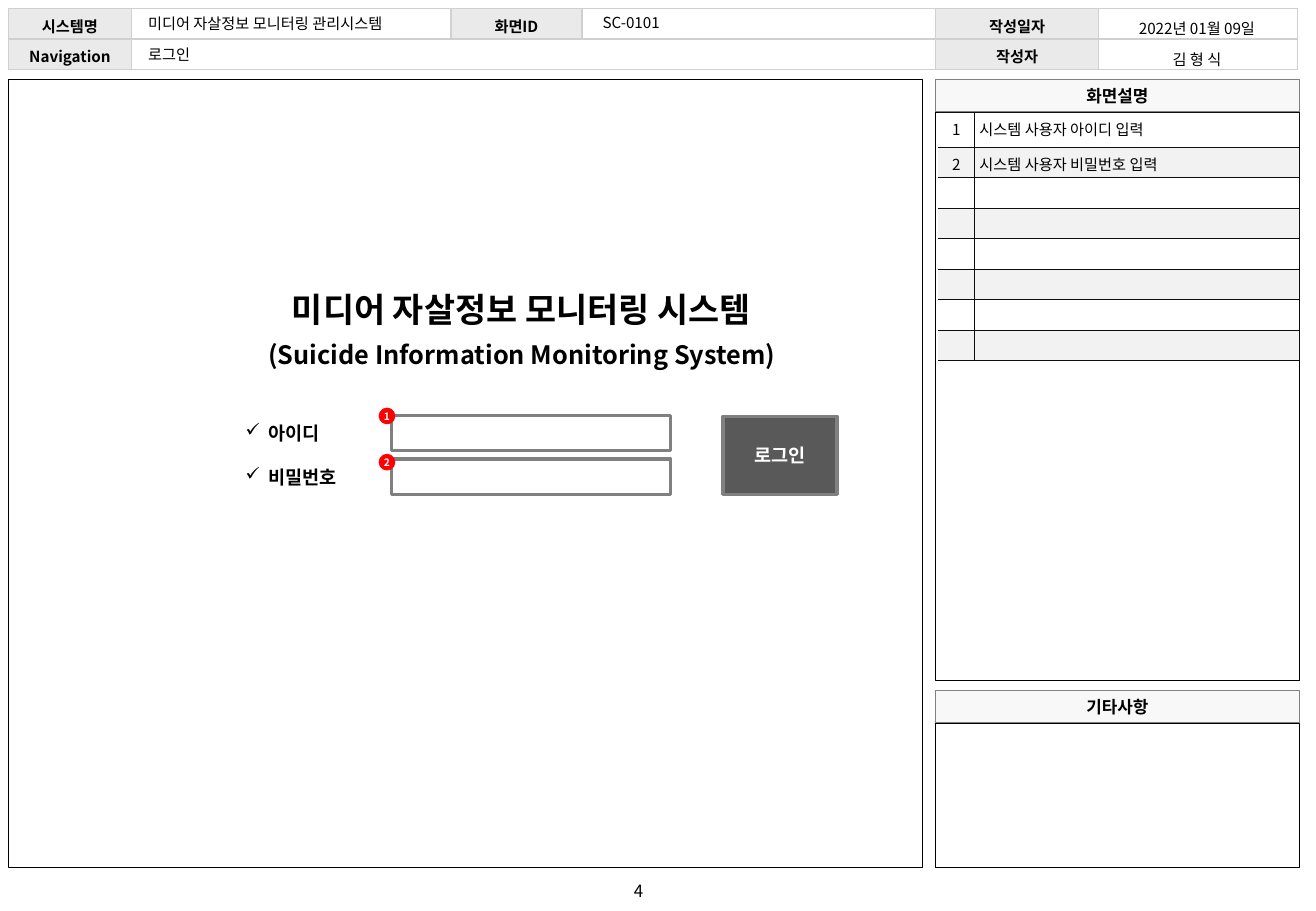
from lxml import etree
from pptx import Presentation
from pptx.dml.color import RGBColor
from pptx.enum.shapes import MSO_SHAPE as SHAPE
from pptx.enum.text import MSO_ANCHOR as ANCHOR, PP_ALIGN as ALIGN
from pptx.oxml.ns import qn
from pptx.util import Inches, Pt

FONT = "Noto Sans CJK KR"
NO_STYLE = "{2D5ABB26-0587-4C30-8999-92F81FD0307C}"
INK, GRAY, BAND = "000000", "808080", "F2F2F2"


def color(value):
    return RGBColor.from_string(value)


def write(tf, text, size=9, bold=False, ink=INK, align=ALIGN.LEFT):
    p = tf.paragraphs[0]
    p.alignment = align
    if not text:
        # An empty cell keeps its row low through the size of its end mark
        etree.SubElement(p._p, qn("a:endParaRPr"), sz=str(size * 100))
        return p
    r = p.add_run()
    r.text = text
    r.font.name, r.font.size, r.font.bold = FONT, Pt(size), bold
    r.font.color.rgb = color(ink)
    ea = etree.SubElement(r._r.get_or_add_rPr(), qn("a:ea"))
    ea.set("typeface", FONT)
    return p


def add_text(s, text, x, y, w, h, wrap=True, inset=0.1, **fmt):
    tf = s.shapes.add_textbox(*map(Inches, (x, y, w, h))).text_frame
    tf.word_wrap = wrap
    tf.vertical_anchor = ANCHOR.MIDDLE
    tf.margin_left = tf.margin_right = Inches(inset)
    return write(tf, text, **fmt)


def add_box(s, x, y, w, h, line=INK, weight=0.25, fill=None, text="",
            kind=SHAPE.RECTANGLE, inset=0.05, **fmt):
    sp = s.shapes.add_shape(kind, *map(Inches, (x, y, w, h)))
    sp.shadow.inherit = False
    sp.line.color.rgb, sp.line.width = color(line), Pt(weight)
    if fill:
        sp.fill.solid()
        sp.fill.fore_color.rgb = color(fill)
    else:
        sp.fill.background()
    if text:
        tf = sp.text_frame
        tf.margin_left = tf.margin_right = Inches(inset)
        tf.margin_top = tf.margin_bottom = Inches(inset)
        tf.vertical_anchor = ANCHOR.MIDDLE
        write(tf, text, align=ALIGN.CENTER, **fmt)
    return sp


def add_plain_table(s, x, y, cols, rows):
    frame = s.shapes.add_table(len(rows), len(cols), Inches(x), Inches(y),
                               Inches(sum(cols)), Inches(sum(rows)))
    table = frame.table
    table.first_row = table.horz_banding = False
    table._tbl.tblPr.find(qn("a:tableStyleId")).text = NO_STYLE
    for col, width in zip(table.columns, cols):
        col.width = Inches(width)
    for row, height in zip(table.rows, rows):
        row.height = Inches(height)
    return table


def fill_cell(cell, text="", fill=None, borders="", line=INK, weight=0.25,
              inset=0.1, anchor=ANCHOR.MIDDLE, **fmt):
    """Borders is a string of the sides to draw, out of L, R, T and B."""
    cell.margin_left = cell.margin_right = Inches(inset)
    cell.vertical_anchor = anchor
    write(cell.text_frame, text, **fmt)
    tcPr = cell._tc.get_or_add_tcPr()
    for side in "LRTB":
        if side in borders:
            ln = etree.SubElement(tcPr, qn(f"a:ln{side}"), w=str(Pt(weight)))
            solid = etree.SubElement(ln, qn("a:solidFill"))
            etree.SubElement(solid, qn("a:srgbClr"), val=line)
    if fill:
        cell.fill.solid()
        cell.fill.fore_color.rgb = color(fill)
    else:
        cell.fill.background()


def add_header(s, x, y):
    labels = [["시스템명", "", "화면ID", "", "작성일자", ""],
              ["Navigation", "", "", "", "작성자", ""]]
    rows = [0.25, 0.25]
    table = add_plain_table(s, x, y, [1.01, 2.63, 1.08, 2.91, 1.34, 1.64], rows)
    for i, row in enumerate(labels):
        for j, label in enumerate(row):
            fill_cell(table.cell(i, j), label, "EAEAEA" if label else None,
                      "LRTB", "D0D0D0", 1, bold=True, align=ALIGN.CENTER)
    table.cell(1, 1).merge(table.cell(1, 3))

    for text, dx, dy, w in [("미디어 자살정보 모니터링 관리시스템", 1.05, 0, 2.35),
                            ("SC-0101", 4.79, -0.01, 0.68),
                            ("로그인", 1.05, 0.25, 0.58)]:
        add_text(s, text, x + dx, y + dy, w, 0.25, wrap=False)

    author = add_plain_table(s, x + 8.96, y + 0.02, [1.64], rows)
    for i, text in enumerate(["2022년 01월 09일", "김 형 식"]):
        fill_cell(author.cell(i, 0), text, align=ALIGN.CENTER)


def add_panel(s, title, x, y, w, h):
    bar = 0.27
    add_box(s, x, y + bar, w, h - bar)
    add_box(s, x, y, w, bar, GRAY, fill="F8F8F8", text=title, size=10, bold=True)


def add_descriptions(s, x, y):
    notes = ["시스템 사용자 아이디 입력", "시스템 사용자 비밀번호 입력"]
    count = 8
    table = add_plain_table(s, x, y, [0.3, 2.67], [0.29] + [0.25] * (count - 1))
    for i in range(count):
        used = i < len(notes)
        style = dict(fill=BAND if i % 2 else None, borders="LRTB",
                     line="0D0D0D", anchor=ANCHOR.TOP)
        number = dict(style, borders="RTB", inset=0, align=ALIGN.CENTER)
        fill_cell(table.cell(i, 0), str(i + 1) if used else "", **number)
        fill_cell(table.cell(i, 1), notes[i] if used else "", inset=0.04, **style)


def add_login(s, x, y):
    title = dict(inset=0.04, bold=True, align=ALIGN.CENTER)
    add_text(s, "미디어 자살정보 모니터링 시스템", x, y, 5.22, 0.44, size=20, **title)
    add_text(s, "(Suicide Information Monitoring System)", x + 0.02, y + 0.42,
             5.19, 0.35, size=15, **title)
    for i, label in enumerate(["아이디", "비밀번호"]):
        top = y + 1.1 + 0.36 * i
        p = add_text(s, label, x + 0.3, top, 1.33, 0.29, inset=0.04, size=11, bold=True)
        pPr = p._p.get_or_add_pPr()
        pPr.set("marL", str(Inches(0.19)))
        pPr.set("indent", str(-Inches(0.19)))
        etree.SubElement(pPr, qn("a:buChar"), char="✓")
        add_box(s, x + 1.54, top, 2.3, 0.29, GRAY, 2)
        add_box(s, x + 1.44, y + 1.04 + 0.38 * i, 0.13, 0.13, "FF0000", 0.5, "FF0000",
                str(i + 1), SHAPE.OVAL, 0, size=6, bold=True, ink="FFFFFF")
    add_box(s, x + 4.27, y + 1.11, 0.94, 0.64, GRAY, 2, "595959", "로그인",
            size=11, bold=True, ink="FFFFFF")


def main():
    prs = Presentation()
    prs.slide_width, prs.slide_height = Inches(10.83), Inches(7.5)
    s = prs.slides.add_slide(prs.slide_layouts[6])
    add_box(s, 0.07, 0.65, 7.52, 6.49)
    add_panel(s, "화면설명", 7.7, 0.65, 2.99, 4.95)
    add_panel(s, "기타사항", 7.7, 5.68, 2.99, 1.46)
    add_text(s, "4", 4.9, 7.2, 0.71, 0.27, size=10, align=ALIGN.CENTER)
    add_header(s, 0.07, 0.07)
    add_descriptions(s, 7.72, 0.92)
    add_login(s, 1.68, 2.32)
    prs.save("out.pptx")


if __name__ == "__main__":
    main()
